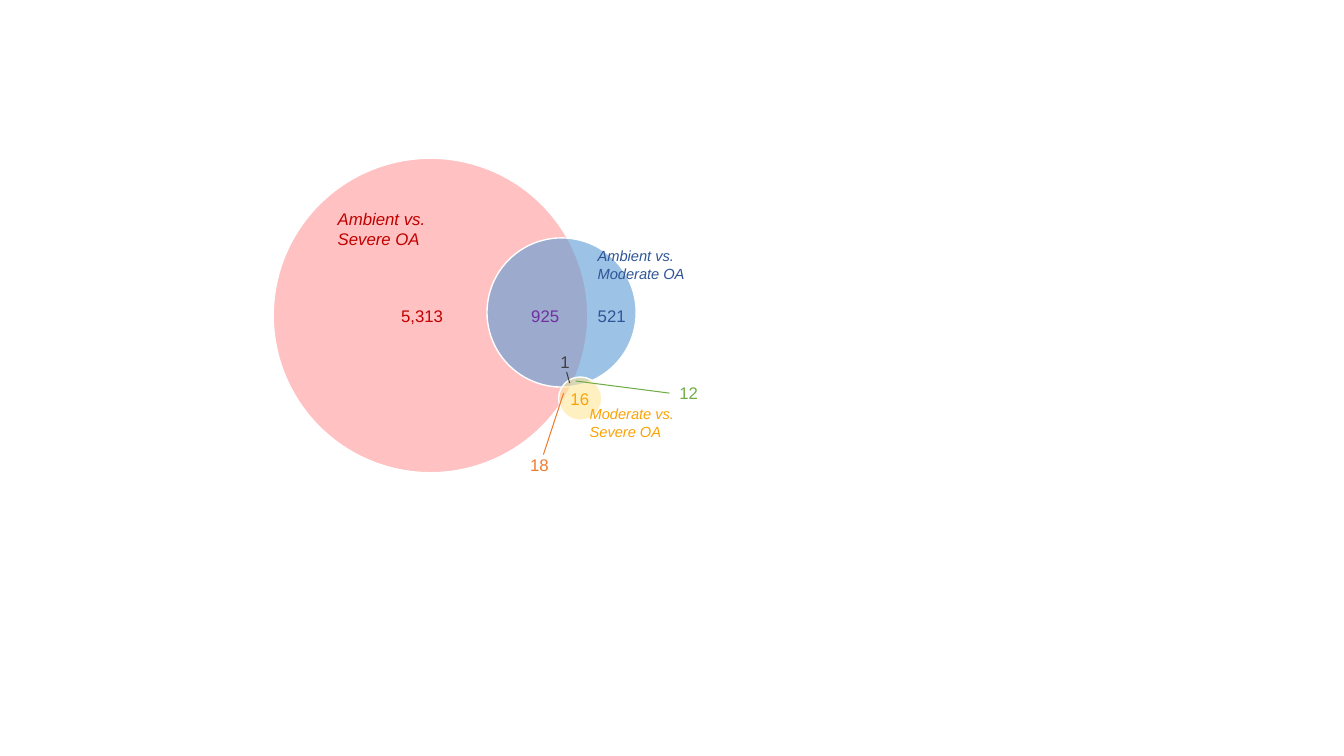
from lxml.etree import SubElement
from pptx import Presentation
from pptx.dml.color import RGBColor
from pptx.enum.shapes import MSO_CONNECTOR, MSO_SHAPE
from pptx.enum.text import MSO_AUTO_SIZE
from pptx.oxml.ns import qn
from pptx.util import Pt

PX = 9144
WIDE, HIGH = 1333, 750

WHITE = RGBColor(0xFF, 0xFF, 0xFF)
PINK = RGBColor(0xFF, 0x99, 0x99)
BLUE = RGBColor(0x5B, 0x9B, 0xD5)
CREAM = RGBColor(0xFF, 0xE6, 0x99)
RED = RGBColor(0xC0, 0x00, 0x00)
NAVY = RGBColor(0x2F, 0x55, 0x97)
GOLD = RGBColor(0xFB, 0xA3, 0x05)
PURPLE = RGBColor(0x70, 0x30, 0xA0)
GREEN = RGBColor(0x70, 0xAD, 0x47)
ORANGE = RGBColor(0xED, 0x7D, 0x31)
GRAY = RGBColor(0x40, 0x40, 0x40)

CIRCLES = [
    (271, 157, 312, PINK),
    (483, 236, 148, BLUE),
    (554, 374, 43, CREAM),
]
COUNTS = [
    ("5,313", 388, 298, 62, RED),
    ("521", 583, 298, 48, NAVY),
    ("16", 556, 381, 39, GOLD),
    ("925", 517, 298, 48, PURPLE),
    ("12", 664, 375, 39, GREEN),
    ("18", 516, 446, 39, ORANGE),
    ("1", 546, 344, 29, GRAY),
]
TITLES = [
    ("Ambient vs. Severe OA", 325, 202, 50, 12, RED),
    ("Ambient vs. Moderate OA", 583, 240, 47, 10.5, NAVY),
    ("Moderate vs. Severe OA", 575, 397, 47, 10.5, GOLD),
]
LEADERS = [
    (571, 378, 664, 390, GREEN),
    (539, 451, 559, 390, ORANGE),
    (565, 380, 562, 369, GRAY),
]


def scale(*sizes):
    return [size * PX for size in sizes]


def add_circle(slide, left, top, size, color):
    disc = slide.shapes.add_shape(MSO_SHAPE.OVAL, *scale(left, top, size, size))
    disc.shadow.inherit = False
    disc.fill.solid()
    disc.fill.fore_color.rgb = color
    tint = disc._element.spPr.find(qn("a:solidFill"))[0]
    SubElement(tint, qn("a:alpha"), val="60000")
    disc.line.color.rgb = WHITE
    disc.line.width = Pt(1)


def add_label(slide, text, place, wrap, **style):
    frame = slide.shapes.add_textbox(*scale(*place)).text_frame
    frame.word_wrap = wrap
    frame.auto_size = MSO_AUTO_SIZE.SHAPE_TO_FIT_TEXT
    run = frame.paragraphs[0].add_run()
    run.text = text
    color = style.pop("color")
    for name, value in style.items():
        setattr(run.font, name, value)
    run.font.name = "Arial"
    run.font.color.rgb = color


def add_leader(slide, ends, color):
    line = slide.shapes.add_connector(MSO_CONNECTOR.STRAIGHT, *scale(*ends))
    line.line.color.rgb = color
    line.line.width = Pt(0.75)
    SubElement(line._element.spPr, qn("a:effectLst"))


def main():
    deck = Presentation()
    deck.slide_width, deck.slide_height = scale(WIDE, HIGH)
    slide = deck.slides.add_slide(deck.slide_layouts[6])
    for circle in CIRCLES:
        add_circle(slide, *circle)
    for text, left, top, width, color in COUNTS:
        add_label(slide, text, (left, top, width, 30), False,
                  size=Pt(12), color=color)
    for text, left, top, height, size, color in TITLES:
        add_label(slide, text, (left, top, 128, height), True,
                  size=Pt(size), italic=True, color=color)
    for *ends, color in LEADERS:
        add_leader(slide, ends, color)
    deck.save("out.pptx")


if __name__ == "__main__":
    main()
